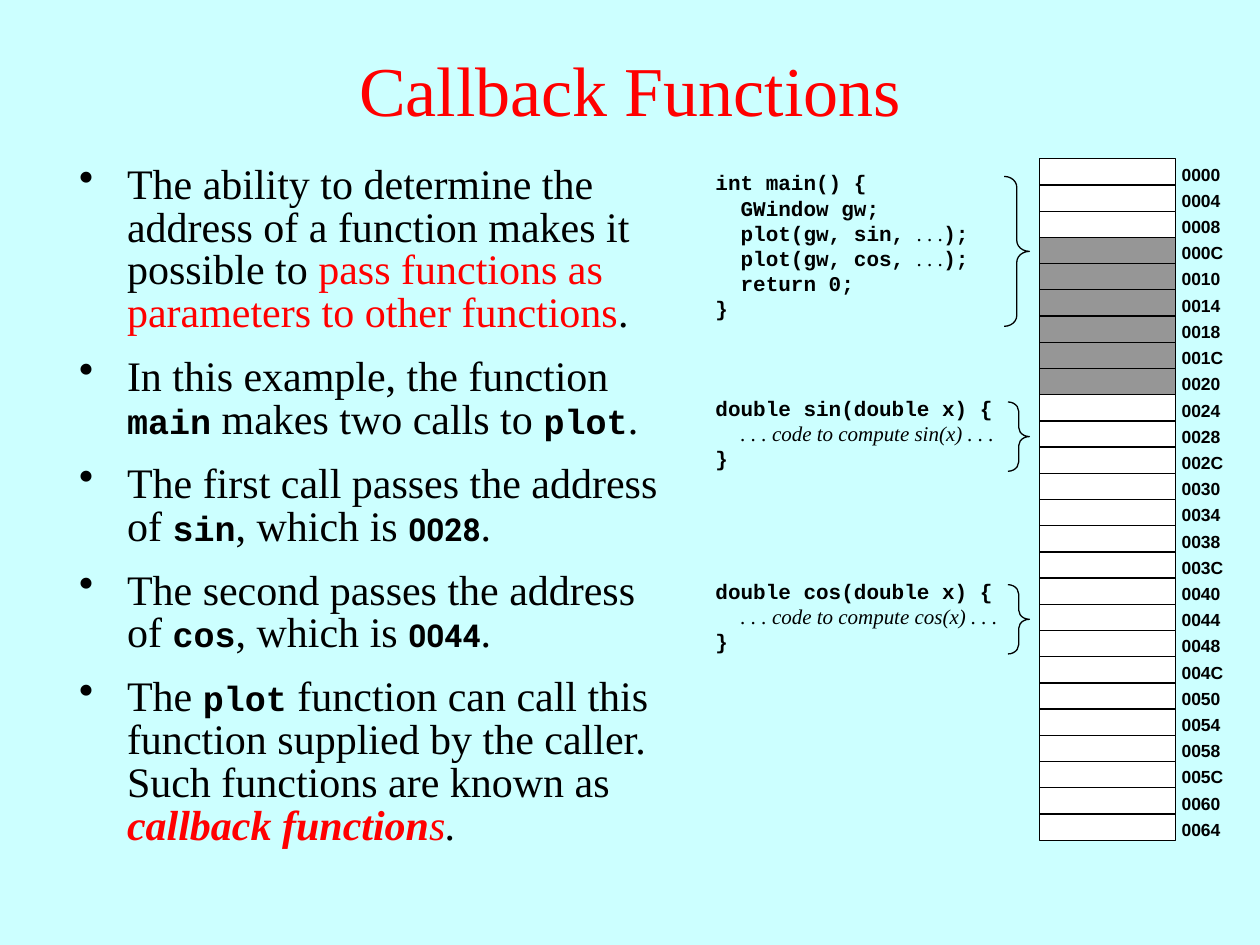
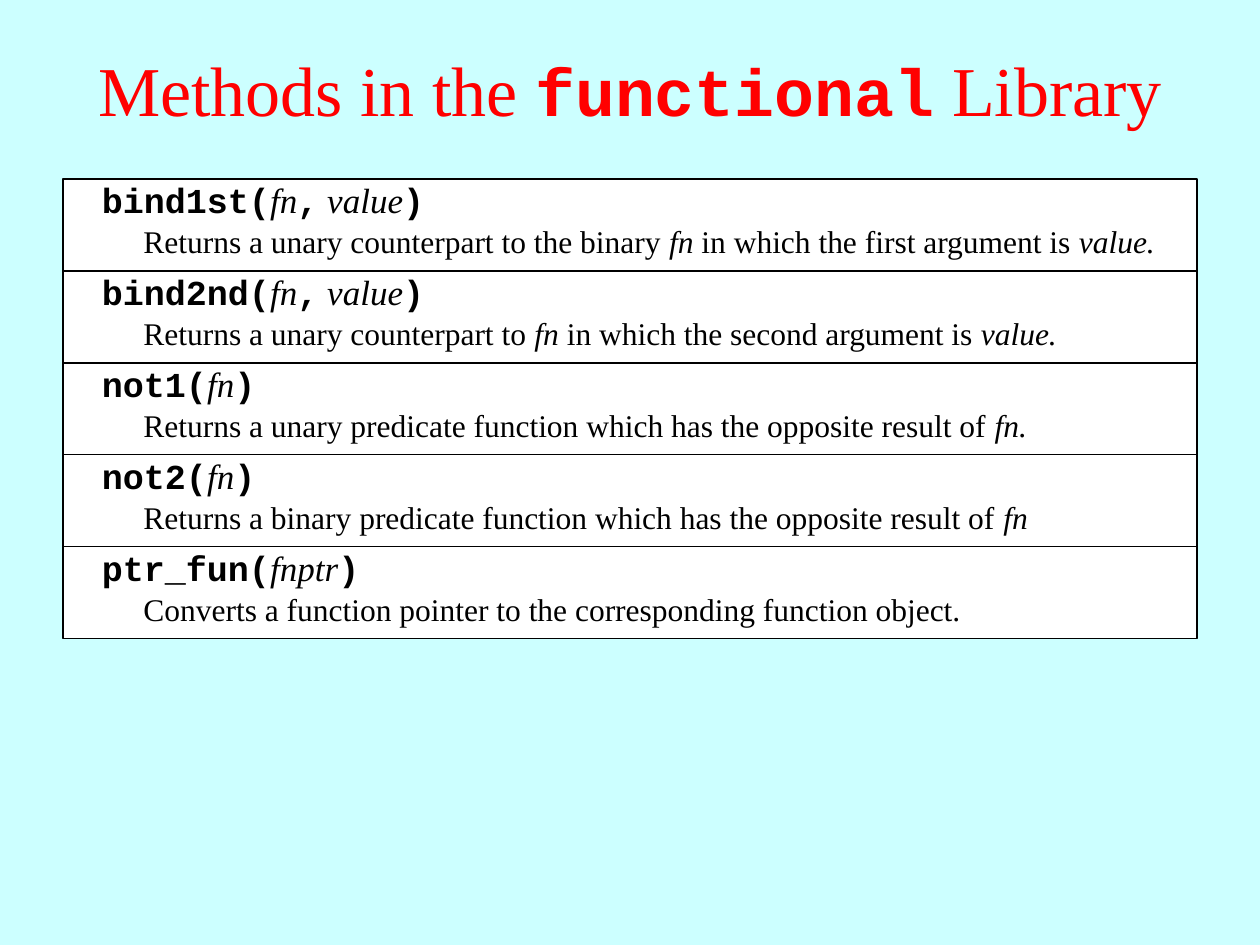
from dataclasses import dataclass, replace

from lxml import etree
from pptx import Presentation
from pptx.dml.color import RGBColor
from pptx.enum.shapes import MSO_CONNECTOR, MSO_SHAPE
from pptx.enum.text import MSO_ANCHOR, MSO_AUTO_SIZE, PP_ALIGN
from pptx.oxml.ns import qn
from pptx.util import Inches, Pt

COLORS = {
    "background": "CCFFFF",
    "accent": "FF0000",
    "ink": "000000",
    "cell": "FFFFFF",
    "occupied": "969696",
}
LINE_WIDTH = Pt(0.75)
TITLE_ONLY_LAYOUT = 5


@dataclass(frozen=True)
class Style:
    font: str
    size: int
    color: str = "ink"
    bold: bool = False
    italic: bool = False


Segments = list[tuple[str, Style]]


@dataclass(frozen=True)
class Box:
    left: float
    top: float
    width: float
    height: float

    def lengths(self) -> list[int]:
        return [Inches(value) for value in (self.left, self.top, self.width, self.height)]


@dataclass(frozen=True)
class CodeBlock:
    text_box: Box
    brace: Box
    lines: list[Segments]


@dataclass(frozen=True)
class Method:
    signature: Segments
    description: Segments


SERIF = "Times New Roman"
MONO = "Courier New"
TITLE = Style(SERIF, 40, "accent")
TITLE_CODE = Style(MONO, 38, "accent", bold=True)
BODY = Style(SERIF, 24)
BODY_ACCENT = replace(BODY, color="accent")
BODY_CODE = Style(MONO, 20, bold=True)
BODY_ADDRESS = Style("Roboto", 18, bold=True)
ADDRESS = Style("Arial", 10, bold=True)
CODE = Style(MONO, 12, bold=True)
CODE_REMARK = Style(SERIF, 12, italic=True)
ARGUMENT = Style(SERIF, 20, italic=True)
DESCRIPTION = Style(SERIF, 18)
DESCRIPTION_ARGUMENT = replace(DESCRIPTION, italic=True)


def call_bullet(ordinal: str, function: str, address: str) -> Segments:
    return [
        (f"The {ordinal} the address of ", BODY),
        (function, BODY_CODE),
        (", which is ", BODY),
        (address, BODY_ADDRESS),
        (".", BODY),
    ]


def plot_line(function: str) -> Segments:
    return [(f"  plot(gw, {function}, ", CODE), (". . .", CODE_REMARK), (");", CODE)]


def function_block(name: str, top: float) -> CodeBlock:
    return CodeBlock(
        Box(5.58, top, 2.5, 0.71),
        Box(8, top + 0.1, 0.17, 0.55),
        [
            [(f"double {name}(double x) {{", CODE)],
            [("  ", CODE), (f". . . code to compute {name}(x) . . .", CODE_REMARK)],
            [("}", CODE)],
        ],
    )


def signature(name: str, *arguments: str) -> Segments:
    segments: Segments = [(f"{name}(", BODY_CODE)]
    for index, argument in enumerate(arguments):
        if index:
            segments.append((",", BODY_CODE))
        segments.append((f" {argument}" if index else argument, ARGUMENT))
    return segments + [(")", BODY_CODE)]


BULLETS: list[Segments] = [
    [
        ("The ability to determine the address of a function makes it possible to ", BODY),
        ("pass functions as parameters to other functions", BODY_ACCENT),
        (".", BODY),
    ],
    [
        ("In this example, the function ", BODY),
        ("main", BODY_CODE),
        (" makes two calls to ", BODY),
        ("plot", BODY_CODE),
        (".", BODY),
    ],
    call_bullet("first call passes", "sin", "0028"),
    call_bullet("second passes", "cos", "0044"),
    [
        ("The ", BODY),
        ("plot", BODY_CODE),
        (" function can call this function supplied by the caller. "
         "Such functions are known as ", BODY),
        ("callback function", replace(BODY_ACCENT, bold=True, italic=True)),
        ("s", replace(BODY_ACCENT, italic=True)),
        (".", replace(BODY, italic=True)),
    ],
]

CODE_BLOCKS = [
    CodeBlock(
        Box(5.58, 1.3, 2.23, 1.31),
        Box(7.97, 1.4, 0.2, 1.19),
        [
            [("int main() {", CODE)],
            [("  GWindow gw;", CODE)],
            plot_line("sin"),
            plot_line("cos"),
            [("  return 0;", CODE)],
            [("}", CODE)],
        ],
    ),
    function_block("sin", 3.09),
    function_block("cos", 4.54),
]

WORD_COUNT = 26
WORD_SIZE = 4
OCCUPIED_WORDS = range(3, 9)
MEMORY_TOP = 1.26
MEMORY_PITCH = (6.46 - MEMORY_TOP) / (WORD_COUNT - 1)

METHODS = [
    Method(
        signature("bind1st", "fn", "value"),
        [
            ("Returns a unary counterpart to the binary ", DESCRIPTION),
            ("fn", DESCRIPTION_ARGUMENT),
            (" in which the first argument is ", DESCRIPTION),
            ("value.", DESCRIPTION_ARGUMENT),
        ],
    ),
    Method(
        signature("bind2nd", "fn", "value"),
        [
            ("Returns a unary counterpart to ", DESCRIPTION),
            ("fn", DESCRIPTION_ARGUMENT),
            (" in which the second argument is ", DESCRIPTION),
            ("value.", DESCRIPTION_ARGUMENT),
        ],
    ),
    Method(
        signature("not1", "fn"),
        [
            ("Returns a unary predicate function which has the opposite result of ", DESCRIPTION),
            ("fn.", DESCRIPTION_ARGUMENT),
        ],
    ),
    Method(
        signature("not2", "fn"),
        [
            ("Returns a binary predicate function which has the opposite result of ", DESCRIPTION),
            ("fn", DESCRIPTION_ARGUMENT),
        ],
    ),
    Method(
        signature("ptr_fun", "fnptr"),
        [("Converts a function pointer to the corresponding function object.", DESCRIPTION)],
    ),
]
METHOD_PANEL = Box(0.5, 1.42, 9, 3.65)


def color(name: str) -> RGBColor:
    return RGBColor.from_string(COLORS[name])


def write_paragraph(paragraph, segments: Segments) -> None:
    for text, style in segments:
        run = paragraph.add_run()
        run.text = text
        run.font.name = style.font
        run.font.size = Pt(style.size)
        run.font.bold = style.bold
        run.font.italic = style.italic
        run.font.color.rgb = color(style.color)


def add_text(slide, box: Box, paragraphs: list[Segments], wrap: bool = True, grow: bool = True):
    text_frame = slide.shapes.add_textbox(*box.lengths()).text_frame
    text_frame.word_wrap = wrap
    text_frame.auto_size = MSO_AUTO_SIZE.SHAPE_TO_FIT_TEXT if grow else MSO_AUTO_SIZE.NONE
    for index, segments in enumerate(paragraphs):
        paragraph = text_frame.add_paragraph() if index else text_frame.paragraphs[0]
        write_paragraph(paragraph, segments)
    return text_frame


def add_outlined_shape(slide, preset: MSO_SHAPE, box: Box, fill: str | None = None):
    shape = slide.shapes.add_shape(preset, *box.lengths())
    shape.shadow.inherit = False
    if fill:
        shape.fill.solid()
        shape.fill.fore_color.rgb = color(fill)
    else:
        shape.fill.background()
    shape.line.color.rgb = color("ink")
    shape.line.width = LINE_WIDTH
    return shape


def add_rule(slide, left: float, right: float, top: float) -> None:
    rule = slide.shapes.add_connector(
        MSO_CONNECTOR.STRAIGHT, Inches(left), Inches(top), Inches(right), Inches(top))
    rule.line.color.rgb = color("ink")
    rule.line.width = LINE_WIDTH
    etree.SubElement(rule._element.spPr, qn("a:effectLst"))


def add_bullet(paragraph) -> None:
    properties = paragraph._p.get_or_add_pPr()
    properties.set("marL", str(Inches(0.38)))
    properties.set("indent", str(-Inches(0.38)))
    etree.SubElement(properties, qn("a:buChar")).set("char", "•")
    paragraph.line_spacing = 0.85
    paragraph.space_after = Pt(12)


def add_titled_slide(presentation, title_segments: Segments):
    slide = presentation.slides.add_slide(presentation.slide_layouts[TITLE_ONLY_LAYOUT])
    title = slide.shapes.title
    title.left, title.top, title.width, title.height = Box(0, 0.08, 10, 1.25).lengths()
    title.text_frame.vertical_anchor = MSO_ANCHOR.MIDDLE
    paragraph = title.text_frame.paragraphs[0]
    paragraph.alignment = PP_ALIGN.CENTER
    write_paragraph(paragraph, title_segments)
    return slide


def add_memory(slide) -> None:
    for word in range(WORD_COUNT):
        top = MEMORY_TOP + word * MEMORY_PITCH
        fill = "occupied" if word in OCCUPIED_WORDS else "cell"
        add_outlined_shape(slide, MSO_SHAPE.RECTANGLE, Box(8.25, top, 1.08, 0.21), fill)
        address = f"{word * WORD_SIZE:04X}"
        add_text(slide, Box(9.28, top - 0.01, 0.64, 0.27), [[(address, ADDRESS)]])


def build_callback_slide(presentation) -> None:
    slide = add_titled_slide(presentation, [("Callback Functions", TITLE)])
    body = add_text(slide, Box(0.53, 1.26, 4.89, 5.65), BULLETS, grow=False)
    for paragraph in body.paragraphs:
        add_bullet(paragraph)
    add_memory(slide)
    for block in CODE_BLOCKS:
        add_text(slide, block.text_box, block.lines, wrap=False)
        brace = add_outlined_shape(slide, MSO_SHAPE.RIGHT_BRACE, block.brace)
        brace.adjustments[0] = 0.43


def build_methods_slide(presentation) -> None:
    slide = add_titled_slide(
        presentation,
        [("Methods in the ", TITLE), ("functional", TITLE_CODE), (" Library", TITLE)])
    panel = METHOD_PANEL
    add_outlined_shape(slide, MSO_SHAPE.RECTANGLE, panel, "cell")
    row_height = panel.height / len(METHODS)
    for index, method in enumerate(METHODS):
        top = panel.top + index * row_height
        if index:
            add_rule(slide, panel.left, panel.left + panel.width, top)
        add_text(slide, Box(0.71, top - 0.05, 8.58, 0.43), [method.signature])
        add_text(slide, Box(1.04, top + 0.29, 8.46, 0.4), [method.description])


def main() -> None:
    presentation = Presentation()
    presentation.slide_width, presentation.slide_height = Inches(10), Inches(7.5)
    background = presentation.slide_master.background.fill
    background.solid()
    background.fore_color.rgb = color("background")
    build_callback_slide(presentation)
    build_methods_slide(presentation)
    presentation.save("out.pptx")


if __name__ == "__main__":
    main()
